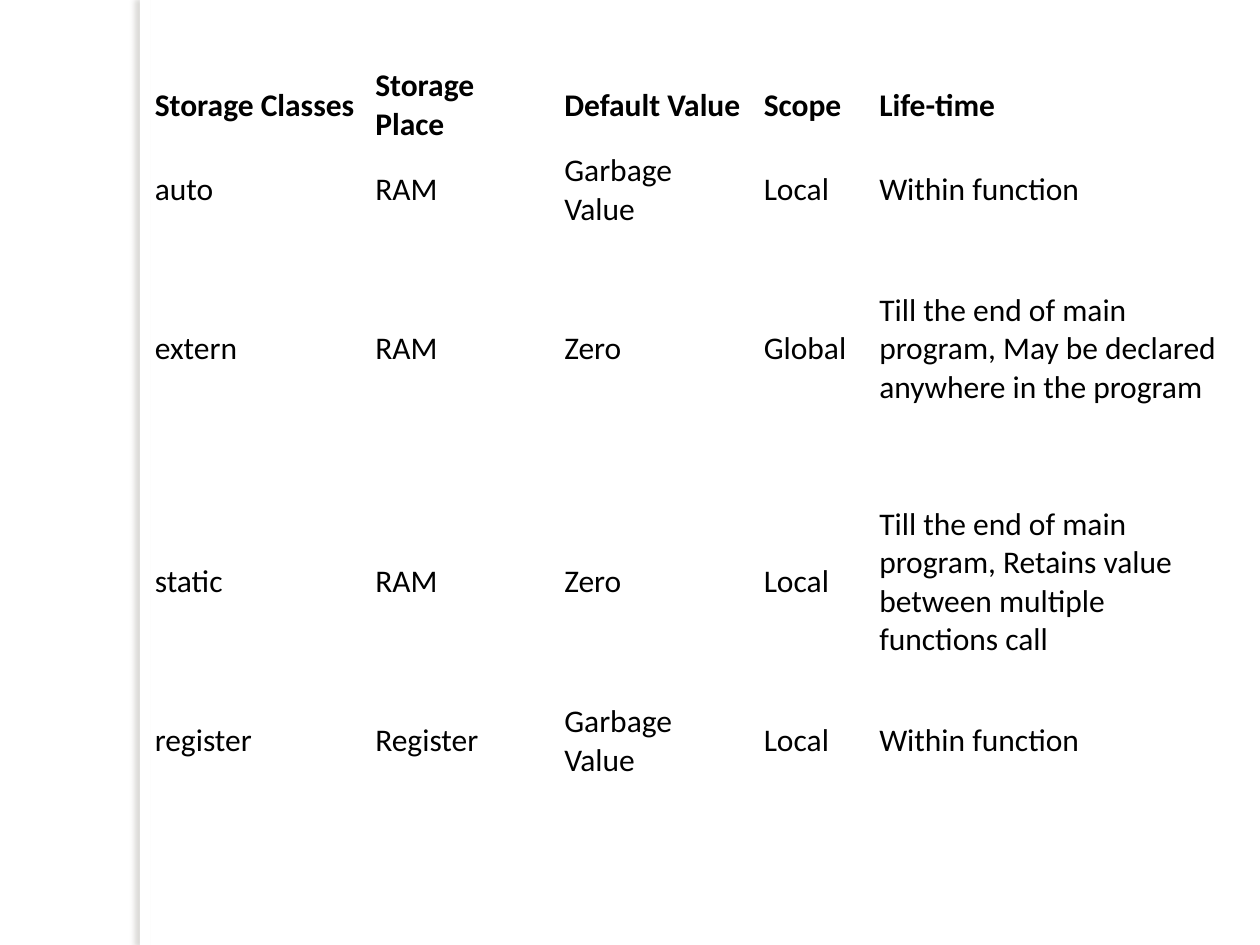
"""Build a slide with a table of the C storage classes."""
from lxml import etree
from pptx import Presentation
from pptx.dml.color import RGBColor
from pptx.enum.shapes import MSO_SHAPE
from pptx.enum.text import MSO_ANCHOR
from pptx.oxml import parse_xml
from pptx.oxml.ns import nsdecls, qn
from pptx.util import Pt

RECT = MSO_SHAPE.RECTANGLE
MIDDLE = MSO_ANCHOR.MIDDLE
WHITE = RGBColor(0xFF, 0xFF, 0xFF)
BLACK = RGBColor(0, 0, 0)
SHADOW = RGBColor(0x73, 0x6F, 0x63)

ROWS = [
    ("Storage Classes", "Storage Place", "Default Value", "Scope", "Life-time"),
    ("auto", "RAM", "Garbage Value", "Local", "Within function"),
    ("extern", "RAM", "Zero", "Global",
     "Till the end of main program, May be declared anywhere in the program"),
    ("static", "RAM", "Zero", "Local",
     "Till the end of main program, Retains value between multiple functions call"),
    ("register", "Register", "Garbage Value", "Local", "Within function"),
]
COL_WIDTHS = [126, 108, 114, 66, 204]
ROW_HEIGHTS = [28.8, 47.7, 133.2, 133.2, 47.7]

prs = Presentation()
prs.slide_width, prs.slide_height = Pt(720), Pt(540)
s = prs.slides.add_slide(prs.slide_layouts[6])
s.background.fill.solid()
s.background.fill.fore_color.rgb = WHITE

strip = s.shapes.add_shape(RECT, Pt(80), Pt(0), Pt(5.76), Pt(540))
strip.fill.solid()
strip.fill.fore_color.rgb = WHITE
strip.line.fill.background()
strip.shadow.inherit = False
effects = strip._element.spPr.find(qn("a:effectLst"))
effects.append(parse_xml(
    f'<a:outerShdw {nsdecls("a")} blurRad="{Pt(3)}" dist="{Pt(3)}" dir="10800000" '
    f'algn="tl" rotWithShape="0"><a:srgbClr val="{SHADOW}">'
    '<a:alpha val="25000"/></a:srgbClr></a:outerShdw>'))

table = s.shapes.add_table(len(ROWS), len(COL_WIDTHS), Pt(84), Pt(36),
                           Pt(sum(COL_WIDTHS)), Pt(sum(ROW_HEIGHTS))).table
table.horz_banding = False
for col, width in zip(table.columns, COL_WIDTHS):
    col.width = Pt(width)
for row, height in zip(table.rows, ROW_HEIGHTS):
    row.height = Pt(height)

for i, texts in enumerate(ROWS):
    for j, text in enumerate(texts):
        cell = table.cell(i, j)
        cell.vertical_anchor = MIDDLE
        cell.margin_left = cell.margin_right = Pt(4.5)
        cell.margin_top = cell.margin_bottom = Pt(2.25)
        for side in ("lnL", "lnR", "lnT", "lnB"):
            ln = etree.SubElement(cell._tc.get_or_add_tcPr(), qn(f"a:{side}"))
            etree.SubElement(ln, qn("a:noFill"))
        cell.fill.background()
        r = cell.text_frame.paragraphs[0].add_run()
        r.text = text
        r.font.name = "Calibri"
        r.font.size = Pt(18)
        r.font.bold = i == 0
        r.font.color.rgb = BLACK

prs.save("out.pptx")
